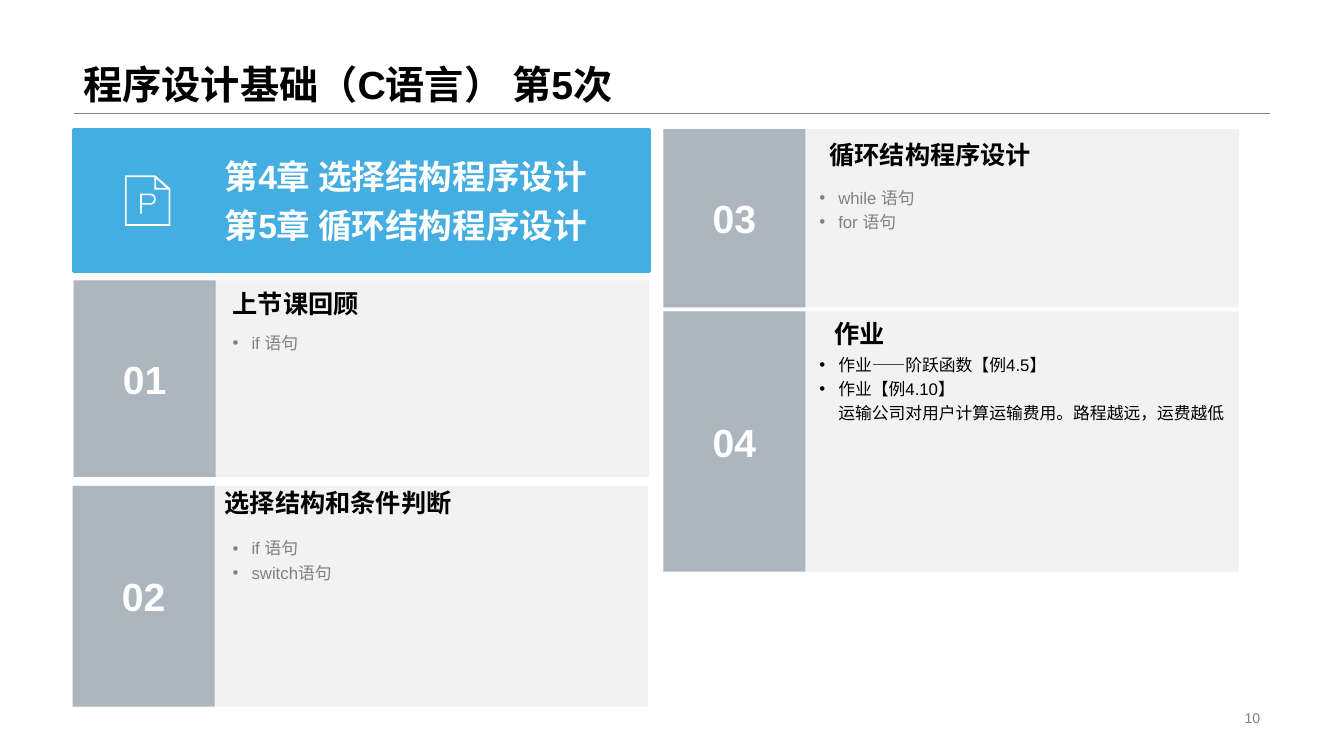
"""Build the course outline slide with its four numbered cards."""
from dataclasses import dataclass
from math import cos, pi, sin

from lxml.etree import SubElement
from pptx import Presentation
from pptx.dml.color import RGBColor
from pptx.enum.shapes import MSO_CONNECTOR as Link, MSO_SHAPE as Kind
from pptx.enum.text import MSO_ANCHOR as Anchor, PP_ALIGN as Align
from pptx.oxml.ns import qn
from pptx.util import Pt

WHITE, BLACK, GREY = "FFFFFF", "000000", "808080"
PALE, SLATE, BLUE = "F2F2F2", "ADB5BF", "44ADE1"
WIDE, BAND, STEP = 411.1, 101.5, 13.5

Spot = tuple[float, float]


@dataclass
class Line:
    text: str
    mark: bool = False
    hang: float = 0


@dataclass
class Style:
    size: float
    hue: str = BLACK
    bold: bool = False
    gap: float = 1
    align: Align = Align.LEFT
    anchor: Anchor = Anchor.TOP


@dataclass
class Card:
    num: str
    at: Spot
    high: float
    head: str
    head_at: Spot
    body: list[Line]
    body_at: Spot
    hue: str = GREY


def item(text: str) -> Line:
    return Line(text, True, STEP)


CARDS = [
    Card("01", (52.6, 200.2), 140.4, "上节课回顾", (159.1, 202.3),
         [item("if 语句")], (159.1, 231.1)),
    Card("02", (51.8, 347), 157.7, "选择结构和条件判断", (153.4, 344.9),
         [item("if 语句"), item("switch语句")], (159.1, 378)),
    Card("03", (473.8, 92.2), 127.4, "循环结构程序设计", (585.4, 95.8),
         [item("while 语句"), item("for 语句")], (578.2, 127.4)),
    Card("04", (473.8, 222.5), 185.8, "作业", (589, 223.9),
         [item("作业——阶跃函数【例4.5】"), item("作业【例4.10】"),
          Line("运输公司对用户计算运输费用。路程越远，运费越低", hang=STEP)],
         (578.2, 247), BLACK),
]

HEAD = Style(18, bold=True)
NUM = Style(28, WHITE, True, align=Align.CENTER, anchor=Anchor.MIDDLE)


def tint(code: str) -> RGBColor:
    return RGBColor.from_string(code)


def write(shape, lines: list[Line], style: Style) -> None:
    frame = shape.text_frame
    frame.word_wrap = True
    frame.vertical_anchor = style.anchor
    for spot, line in enumerate(lines):
        para = frame.add_paragraph() if spot else frame.paragraphs[0]
        para.alignment = style.align
        para.line_spacing = style.gap
        if line.hang:
            props = para._p.get_or_add_pPr()
            props.set("marL", str(Pt(line.hang)))
            if line.mark:
                props.set("indent", str(-Pt(line.hang)))
                SubElement(props, qn("a:buFont")).set("typeface", "Arial")
                SubElement(props, qn("a:buChar")).set("char", "•")
        run = para.add_run()
        run.text = line.text
        font = run.font
        font.name, font.size, font.bold = "Arial", Pt(style.size), style.bold
        font.color.rgb = tint(style.hue)


def label(slide, at: Spot, size: Spot, lines: list[Line], style: Style):
    box = slide.shapes.add_textbox(*map(Pt, at + size))
    write(box, lines, style)
    return box


def block(slide, at: Spot, size: Spot, hue: str, edge: float = 0):
    rect = slide.shapes.add_shape(Kind.RECTANGLE, *map(Pt, at + size))
    paint(rect, hue)
    if edge:
        rect.line.color.rgb = tint(hue)
        rect.line.width = Pt(edge)
    return rect


def paint(shape, hue: str) -> None:
    shape.shadow.inherit = False
    shape.fill.solid()
    shape.fill.fore_color.rgb = tint(hue)
    shape.line.fill.background()


def bowl(mid: Spot, size: float) -> list[Spot]:
    turns = [pi * (step / 12 - 0.5) for step in range(13)]
    return [(mid[0] + size * cos(turn), mid[1] + size * sin(turn))
            for turn in turns]


def icon(slide, left: float, top: float) -> None:
    mid = (18, 17)
    loops = [
        [(0, 0), (21.6, 0), (32.4, 9.4), (32.4, 36), (0, 36)],
        [(1.2, 1.2), (1.2, 34.8), (31.2, 34.8), (31.2, 10.2),
         (21, 10.2), (21, 1.2)],
        [(22.2, 2.2), (22.2, 9), (29.5, 9)],
        [(10.8, 13), *bowl(mid, 4), (12, 21), (12, 27.4), (10.8, 27.4)],
        [(12, 14.2), *bowl(mid, 2.8), (12, 19.8)],
    ]
    pen = None
    for loop in loops:
        dots = [(Pt(left + x), Pt(top + y)) for x, y in loop]
        if pen is None:
            pen = slide.shapes.build_freeform(*dots[0])
        else:
            pen.move_to(*dots[0])
        pen.add_line_segments(dots[1:], close=True)
    paint(pen.convert_to_shape(), WHITE)


def draw(slide, card: Card) -> None:
    block(slide, card.at, (WIDE, card.high), PALE)
    write(block(slide, card.at, (BAND, card.high), SLATE),
          [Line(card.num)], NUM)
    label(slide, card.head_at, (281.5, 28.8), [Line(card.head)], HEAD)
    body = label(slide, card.body_at, (304, 70), card.body,
                 Style(12, card.hue, gap=1.2))
    body.text_frame.margin_right = 0


def main() -> None:
    deck = Presentation()
    deck.slide_width, deck.slide_height = Pt(960), Pt(540)
    slide = deck.slides.add_slide(deck.slide_layouts[6])

    rule = slide.shapes.add_connector(
        Link.STRAIGHT, Pt(52.6), Pt(80.9), Pt(907.2), Pt(80.9))
    rule.line.color.rgb = tint(GREY)
    rule.line.width = Pt(0.25)
    SubElement(rule._element.spPr, qn("a:effectLst"))

    label(slide, (52.6, 0), (854.6, 80.6),
          [Line("程序设计基础（C语言） 第5次")],
          Style(28, bold=True, gap=0.9, anchor=Anchor.BOTTOM))
    label(slide, (678.2, 504.7), (229, 16.6), [Line("10")],
          Style(10, GREY, align=Align.RIGHT, anchor=Anchor.MIDDLE))

    block(slide, (52.6, 92.2), (WIDE, BAND), BLUE, 2)
    label(slide, (153.4, 104.4), (292.3, 74.2),
          [Line("第4章 选择结构程序设计"), Line("第5章 循环结构程序设计")],
          Style(24, WHITE, True, 1.2, anchor=Anchor.BOTTOM))
    icon(slide, 89.3, 125.3)

    for card in CARDS:
        draw(slide, card)
    deck.save("out.pptx")


if __name__ == "__main__":
    main()
